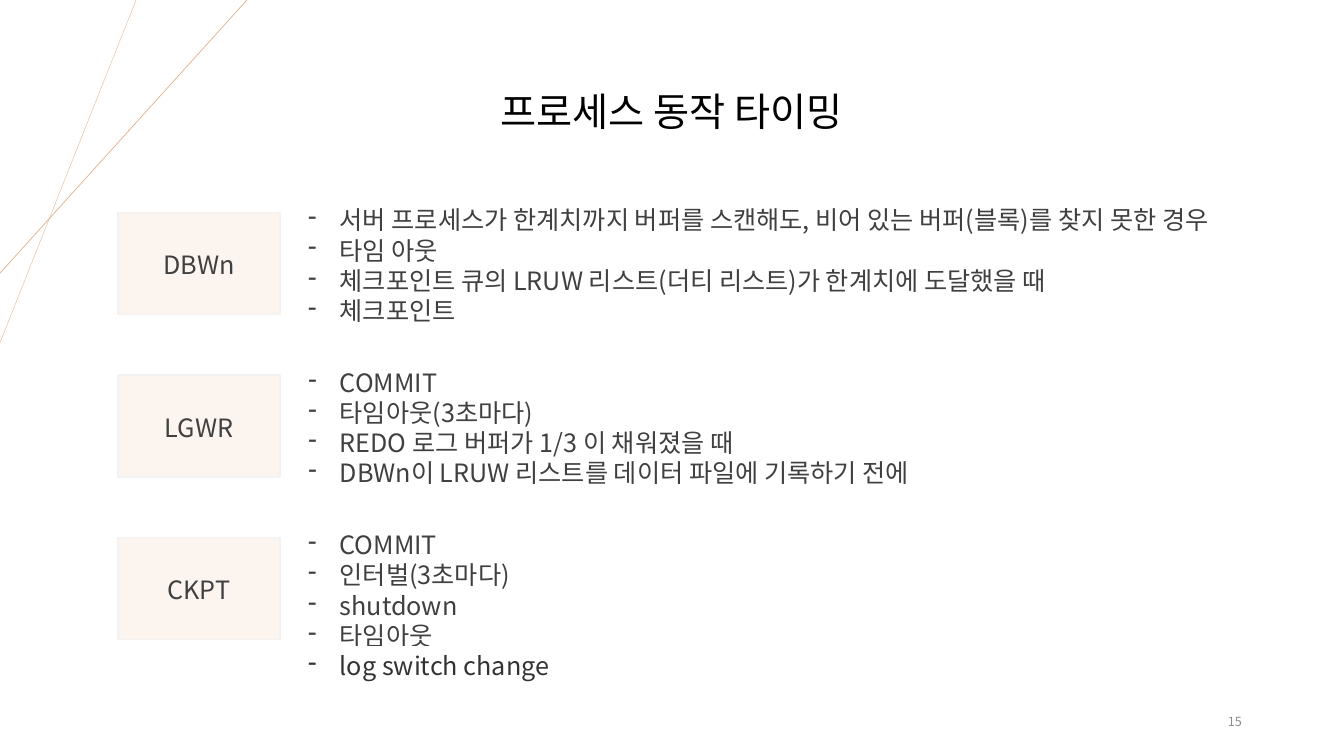
import pptx
import pptx.util
import pptx.dml.color
import pptx.enum.shapes
import pptx.enum.text
import pptx.oxml.ns
import lxml.etree

Pt = pptx.util.Pt
qn = pptx.oxml.ns.qn
ALIGN = pptx.enum.text.PP_ALIGN
ANCHOR = pptx.enum.text.MSO_ANCHOR

FONT = "Noto Sans CJK KR"
COLORS = {
    "title": "000000",
    "text": "404040",
    "emphasis": "333333",
    "highlight": "FFFFFF",
    "number": "8C8C8C",
    "box": "FBF4EF",
    "border": "F2F2F2",
    "accent": "E2B18D",
}
PROCESSES = [
    ("DBWn", 729.4, [
        "서버 프로세스가 한계치까지 버퍼를 스캔해도, 비어 있는 버퍼(블록)를 찾지 못한 경우",
        "타임 아웃",
        "체크포인트 큐의 LRUW 리스트(더티 리스트)가 한계치에 도달했을 때",
        "체크포인트",
    ]),
    ("LGWR", 486, [
        "COMMIT",
        "타임아웃(3초마다)",
        "REDO 로그 버퍼가 1/3 이 채워졌을 때",
        "DBWn이 LRUW 리스트를 데이터 파일에 기록하기 전에",
    ]),
    ("CKPT", 189.4, [
        "COMMIT",
        "인터벌(3초마다)",
        "shutdown",
        "타임아웃",
        "log switch change",
    ]),
]
HIGHLIGHTED = "log switch change"
FIRST_ROW_TOP = 141
ROW_STEP = 116
LINE_HEIGHT = 21.6


def rgb(name):
    """Return the named colour."""
    return pptx.dml.color.RGBColor.from_string(COLORS[name])


def apply(target, values):
    """Set attributes of an object from a dict."""
    for name, value in values.items():
        setattr(target, name, value)


def add_bullet(paragraph):
    """Give a paragraph a hanging dash."""
    properties = paragraph._p.get_or_add_pPr()
    properties.set("marL", str(Pt(22.5)))
    properties.set("indent", str(-Pt(22.5)))
    lxml.etree.SubElement(properties, qn("a:buChar")).set("char", "-")


def highlight(run):
    """Put the highlight colour behind a run."""
    mark = lxml.etree.Element(qn("a:highlight"))
    lxml.etree.SubElement(mark, qn("a:srgbClr")).set("val", COLORS["highlight"])
    run._r.get_or_add_rPr().find(qn("a:solidFill")).addnext(mark)


def write(shape, lines, size, color, align, anchor=ANCHOR.TOP, bullets=False):
    """Fill a shape with evenly spaced lines of text."""
    frame = shape.text_frame
    apply(frame, {
        "word_wrap": True,
        "auto_size": pptx.enum.text.MSO_AUTO_SIZE.NONE,
        "vertical_anchor": anchor,
        "margin_top": Pt(3.6 + 0.09 * size),
    })
    for index, line in enumerate(lines):
        paragraph = frame.add_paragraph() if index else frame.paragraphs[0]
        apply(paragraph, {"alignment": align, "line_spacing": Pt(1.2 * size)})
        if bullets:
            add_bullet(paragraph)
        run = paragraph.add_run()
        run.text = line
        apply(run.font, {"name": FONT, "size": Pt(size), "bold": False})
        run.font.color.rgb = rgb("emphasis" if line == HIGHLIGHTED else color)
        east_asian = lxml.etree.Element(qn("a:ea"))
        east_asian.set("typeface", FONT)
        run._r.rPr.find(qn("a:latin")).addnext(east_asian)
        if line == HIGHLIGHTED:
            highlight(run)


def add_accent_line(slide, start_x, end_y, width):
    """Draw a thin line from the top edge to the left edge."""
    line = slide.shapes.add_connector(
        pptx.enum.shapes.MSO_CONNECTOR.STRAIGHT, Pt(start_x), Pt(0), Pt(0), Pt(end_y))
    line.line.color.rgb = rgb("accent")
    line.line.width = Pt(width)
    lxml.etree.SubElement(line._element.spPr, qn("a:effectLst"))


def add_title(slide, text):
    """Place and format the title."""
    title = slide.shapes.title
    apply(title, {"left": Pt(335.5), "top": Pt(56.2), "width": Pt(288.7), "height": Pt(41)})
    write(title, [text], 28, "title", ALIGN.CENTER)


def add_text(slide, left, top, width, height, *text, **options):
    """Add a text box."""
    box = slide.shapes.add_textbox(Pt(left), Pt(top), Pt(width), Pt(height))
    write(box, *text, **options)


def add_process_box(slide, name, top):
    """Add the box that names a process."""
    box = slide.shapes.add_shape(
        pptx.enum.shapes.MSO_SHAPE.RECTANGLE, Pt(84.4), Pt(top), Pt(115.5), Pt(72.7))
    box.shadow.inherit = False
    box.fill.solid()
    box.fill.fore_color.rgb = rgb("box")
    box.line.color.rgb = rgb("border")
    box.line.width = Pt(1)
    write(box, [name], 18, "text", ALIGN.CENTER, ANCHOR.MIDDLE)


def main():
    """Build the slide and save it."""
    presentation = pptx.Presentation()
    apply(presentation, {"slide_width": Pt(960), "slide_height": Pt(540)})
    slide = presentation.slides.add_slide(presentation.slide_layouts[5])
    add_accent_line(slide, 97.2, 244.8, 0.25)
    add_accent_line(slide, 176.4, 195.1, 0.5)
    add_text(slide, 678.2, 500.4, 216, 28.8, ["15"], 9, "number",
             ALIGN.RIGHT, anchor=ANCHOR.MIDDLE)
    add_title(slide, "프로세스 동작 타이밍")
    for row, (name, width, timings) in enumerate(PROCESSES):
        top = FIRST_ROW_TOP + row * ROW_STEP
        height = len(timings) * LINE_HEIGHT + 8
        add_text(slide, 213.1, top, width, height, timings, 18, "text",
                 ALIGN.LEFT, bullets=True)
        add_process_box(slide, name, top + 11)
    presentation.save("out.pptx")


if __name__ == "__main__":
    main()
